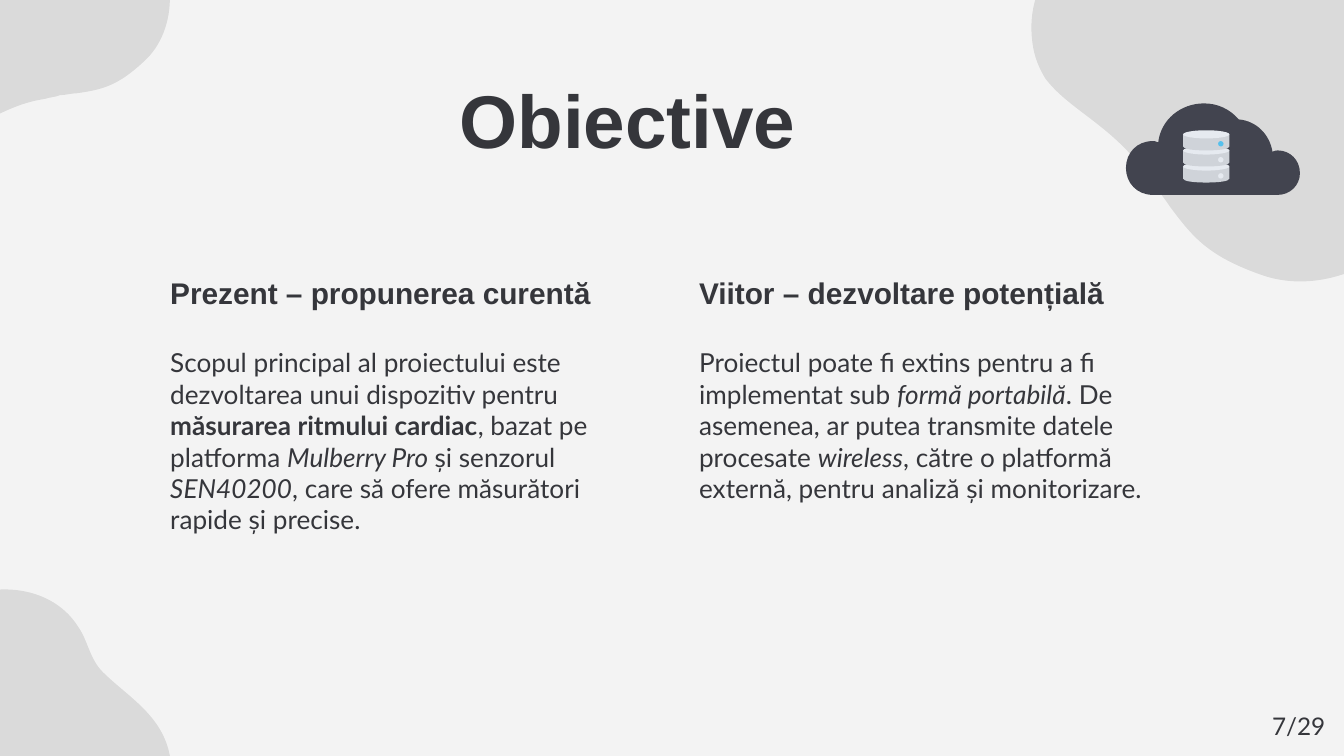
from lxml.etree import SubElement
from pptx import Presentation
from pptx.dml.color import RGBColor
from pptx.enum.shapes import MSO_SHAPE as Preset
from pptx.enum.text import MSO_ANCHOR as Anchor, MSO_AUTO_SIZE as AutoSize, PP_ALIGN as Align
from pptx.oxml.ns import qn
from pptx.util import Pt

BACKGROUND = RGBColor(0xF3, 0xF3, 0xF3)
INK = RGBColor(0x35, 0x36, 0x3B)
BLACK = RGBColor(0, 0, 0)
CLOUD = RGBColor(0x42, 0x44, 0x4F)
DISK = RGBColor(0xCF, 0xD3, 0xD9)
DISK_LIGHT = RGBColor(0xE6, 0xEA, 0xF0)
LAMP_ON = RGBColor(0x55, 0xC0, 0xED)

PLAIN, BOLD, ITALIC = "plain", "bold", "italic"

BOTTOM_LEFT_BLOB = [
    (138, 105), (138, 101), (137, 98), (136, 95), (132, 73), (113, 63), (100, 50),
    (93, 43), (92, 33), (87, 26), (71, 0), (31, 1), (15, 18), (6, 27), (1, 38), (1, 51),
    (0, 59), (2, 69), (5, 80), (12, 106), (16, 126), (42, 144), (68, 162), (104, 150),
    (126, 131), (126, 131), (137, 121), (138, 105)]
TOP_LEFT_BLOB = [
    (73, 0), (64, 2), (54, 5), (44, 13), (21, 30), (12, 59), (5, 83), (-3, 107), (7, 129),
    (27, 137), (32, 139), (36, 139), (41, 139), (54, 137), (64, 127), (84, 124), (87, 123),
    (90, 123), (92, 122), (95, 122), (98, 121), (101, 121), (115, 119), (123, 117),
    (137, 104), (156, 87), (156, 52), (135, 28), (115, 5), (92, 1), (92, 1), (92, 1),
    (84, -1), (73, 0)]
TOP_RIGHT_BLOB = [
    (217, 43), (209, 31), (198, 20), (180, 12), (141, -6), (95, 3), (57, 10), (20, 17),
    (-3, 45), (1, 77), (2, 86), (5, 92), (8, 97), (20, 113), (41, 121), (59, 144),
    (62, 148), (65, 151), (67, 155), (70, 159), (73, 163), (75, 166), (87, 182), (95, 192),
    (123, 202), (161, 216), (208, 190), (225, 145), (241, 100), (231, 69), (231, 69),
    (231, 69), (227, 56), (217, 43)]
CLOUD_CURVE = [
    (81.4, 25.2), (80.6, 25.2), (79.9, 25.2), (78.5, 25.9), (77, 16.6), (69.8, 9.4),
    (60.5, 8.6), (55.4, 2.9), (49, 0), (41.8, 0), (29.5, 0), (18.7, 8.6), (17.3, 20.9),
    (15.8, 20.2), (15.1, 20.2), (14.4, 20.2), (5.8, 20.2), (0, 26.6), (0, 34.6),
    (0, 42.5), (5.8, 49), (14.4, 49), (14.4, 49), (81.4, 49), (81.4, 49), (87.8, 49),
    (93.2, 44), (93.2, 37.4), (93.2, 30.2), (87.8, 25.2), (81.4, 25.2)]
DISK_CURVE = [
    (0, 0), (0, 0), (0, 6.5), (0, 6.5), (0, 7.9), (5.8, 8.6), (12.4, 8.6),
    (19, 8.6), (24.8, 7.9), (24.8, 6.5), (24.8, 6.5), (24.8, 0), (24.8, 0)]


def paint(shape, color):
    shape.shadow.inherit = False
    shape.fill.solid()
    shape.fill.fore_color.rgb = color
    shape.line.fill.background()


def bend_outline(shape, points):
    outline = shape._element.find(".//" + qn("a:path"))
    origin_x = min(x for x, _ in points[::3])
    origin_y = min(y for _, y in points[::3])
    for index, line in enumerate(outline.findall(qn("a:lnTo"))):
        start, first, second, end = points[3 * index:3 * index + 4]
        if first == start and second == end:
            continue
        curve = SubElement(outline, qn("a:cubicBezTo"))
        for x, y in (first, second, end):
            SubElement(curve, qn("a:pt"), x=str(x - origin_x), y=str(y - origin_y))
        outline.replace(line, curve)


def add_outline(shapes, left, top, curve, color):
    points = [(int(Pt(left + x)), int(Pt(top + y))) for x, y in curve]
    builder = shapes.build_freeform(*points[0])
    builder.add_line_segments(points[3::3], close=True)
    shape = builder.convert_to_shape()
    bend_outline(shape, points)
    paint(shape, color)
    return shape


def add_oval(shapes, left, top, width, height, color):
    paint(shapes.add_shape(Preset.OVAL, Pt(left), Pt(top), Pt(width), Pt(height)), color)


def add_blob(slide, left, top, curve):
    shape = add_outline(slide.shapes, left, top, curve, BLACK)
    color = shape._element.spPr.find(".//" + qn("a:srgbClr"))
    SubElement(color, qn("a:alpha"), val="10000")


def add_cloud_icon(slide, left, top):
    shapes = slide.shapes.add_group_shape().shapes
    add_outline(shapes, left, top, CLOUD_CURVE, CLOUD)
    lamps = (LAMP_ON, DISK_LIGHT, DISK_LIGHT)
    disk_left = left + 30.6
    disk_tops = [top + 16.6 + 8.6 * level for level in range(len(lamps))]
    for disk_top in reversed(disk_tops):
        add_outline(shapes, disk_left, disk_top, DISK_CURVE, DISK)
        add_oval(shapes, disk_left, disk_top - 2.2, 24.8, 4.4, DISK_LIGHT)
    for disk_top, lamp in zip(disk_tops, lamps):
        add_oval(shapes, disk_left + 18.8, disk_top + 3.6, 2.9, 2.9, lamp)


def fill_text(shape, box, runs, font, size, anchor=Anchor.TOP, align=Align.LEFT):
    shape.left, shape.top, shape.width, shape.height = map(Pt, box)
    frame = shape.text_frame
    frame.word_wrap = True
    frame.auto_size = AutoSize.NONE
    frame.vertical_anchor = anchor
    frame.margin_left = frame.margin_right = frame.margin_top = frame.margin_bottom = Pt(7.2)
    paragraph = frame.paragraphs[0]
    properties = paragraph._p.get_or_add_pPr()
    properties.set("marL", "0")
    properties.set("indent", "0")
    SubElement(properties, qn("a:buNone"))
    paragraph.alignment = align
    paragraph.space_before = Pt(0)
    for text, style in runs:
        run = paragraph.add_run()
        run.text = text
        run.font.name = font
        run.font.size = Pt(size)
        run.font.bold = style == BOLD
        run.font.italic = style == ITALIC
        run.font.color.rgb = INK


def add_column(heading, body, left, top, width, title, runs):
    fill_text(heading, (left, top, width, 45.4), [(title, BOLD)], "Arial", 16, Anchor.BOTTOM)
    fill_text(body, (left, top + 50.4, width, 111), runs, "Lato", 14)


def build_objectives_slide(presentation):
    slide = presentation.slides.add_slide(presentation.slide_layouts[4])
    slide.background.fill.solid()
    slide.background.fill.fore_color.rgb = BACKGROUND
    title, left_heading, left_body, right_heading, right_body = slide.placeholders

    add_blob(slide, -45, 310, BOTTOM_LEFT_BLOB)
    add_blob(slide, -60, -71, TOP_LEFT_BLOB)
    add_blob(slide, 552, -55, TOP_RIGHT_BLOB)

    fill_text(title, (239, 32.4, 242, 54), [("Obiective", BOLD)], "Arial", 40)
    add_column(left_heading, left_body, 84, 128.2, 266.4, "Prezent – propunerea curentă", [
        ("Scopul principal al proiectului este dezvoltarea unui dispozitiv pentru ", PLAIN),
        ("măsurarea ritmului cardiac", BOLD),
        (", bazat pe platforma ", PLAIN),
        ("Mulberry Pro ", ITALIC),
        ("și senzorul ", PLAIN),
        ("SEN40200", ITALIC),
        (", care să ofere măsurători rapide și precise.", PLAIN)])
    add_column(right_heading, right_body, 367.3, 128.2, 266.4, "Viitor – dezvoltare potențială", [
        ("Proiectul poate fi extins pentru a fi implementat sub ", PLAIN),
        ("formă portabilă", ITALIC),
        (". De asemenea, ar putea transmite datele procesate ", PLAIN),
        ("wireless", ITALIC),
        (", către o platformă externă, pentru analiză și monitorizare.", PLAIN)])

    add_cloud_icon(slide, 603.2, 55.4)
    page_number = slide.shapes.add_textbox(0, 0, 0, 0)
    fill_text(page_number, (674, 373.7, 43, 31), [("7/29", PLAIN)], "Lato", 13, align=Align.RIGHT)


def main():
    presentation = Presentation()
    presentation.slide_width, presentation.slide_height = Pt(720), Pt(405)
    build_objectives_slide(presentation)
    presentation.save("out.pptx")


if __name__ == "__main__":
    main()
